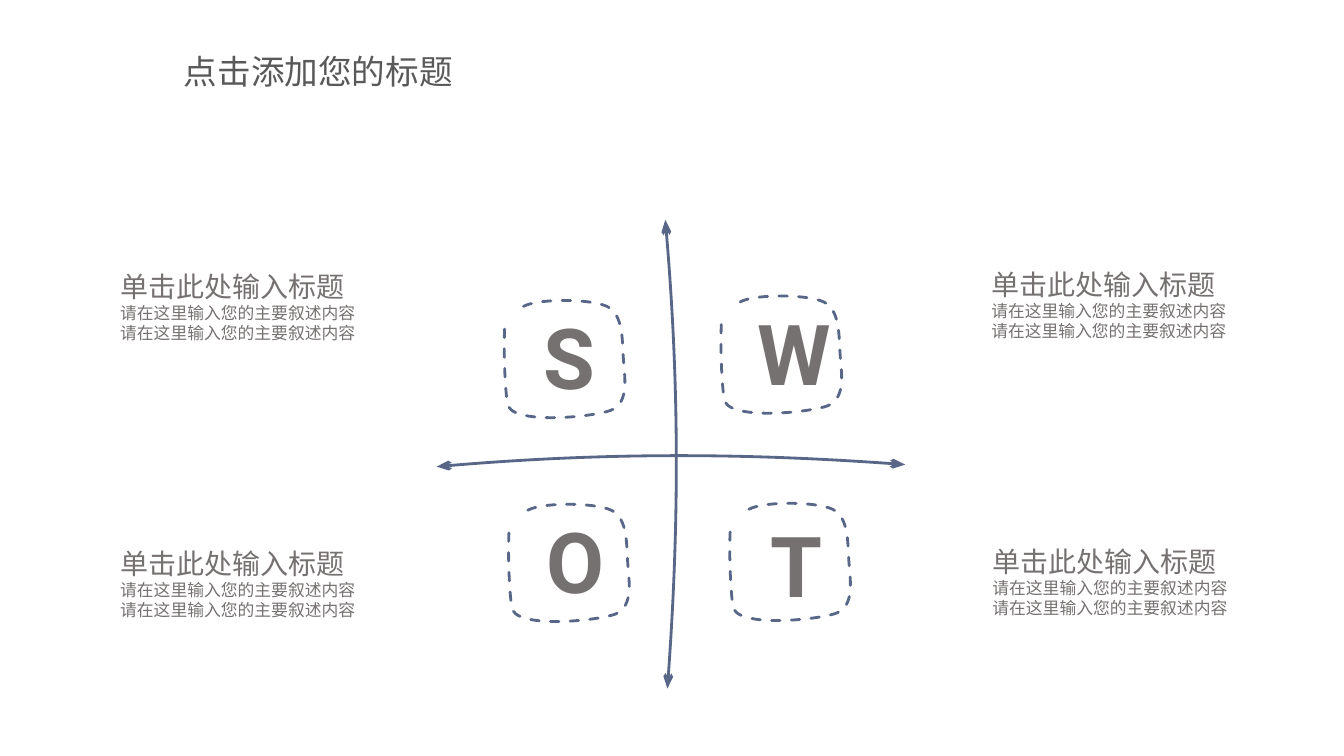
from lxml.etree import SubElement
from pptx import Presentation
from pptx.dml.color import RGBColor
from pptx.enum.dml import MSO_LINE
from pptx.enum.text import MSO_ANCHOR, MSO_AUTO_SIZE, PP_ALIGN
from pptx.oxml.ns import qn
from pptx.util import Pt

FONT = "Roboto"
GRAY, DARK, BLUE, WHITE = "767171", "595959", "586788", "FFFFFF"

AXIS_SIZE = (334.8, 8)
AXIS_START = (0, 8)
AXIS_CURVES = [[(111, -2), (223, -2), (334.8, 6.5)]]
TILE_SIZE = (85.7, 84.2)
TILE_START = (13.7, 4.3)
TILE_CURVES = [
    [(23.8, -1.4), (61.2, -1.4), (73.4, 4.3)],
    [(85, 10.1), (84.2, 28.1), (85, 40.3)],
    [(85.7, 53.3), (90, 72.7), (76.3, 78.5)],
    [(62.6, 83.5), (3.6, 89.3), (2.2, 73.4)],
    [(0, 57.6), (-0.7, 28.1), (0.7, 13.7)],
]
TILES = [
    ("S", 360.2, 214.6, 20.7, 0),
    ("W", 515, 211.4, 18.7, 0.6),
    ("O", 363.3, 360.2, 19.8, 0.5),
    ("T", 521.3, 359.5, 22.3, 4),
]
NOTES = [(78.8, 188.8), (78.8, 386.6), (701.8, 385.2), (701, 187.2)]
NOTE_LINES = [
    ("单击此处输入标题", 20),
    ("请在这里输入您的主要叙述内容", 12),
    ("请在这里输入您的主要叙述内容", 12),
]


def rgb(value):
    return RGBColor.from_string(value)


def style_run(r, size, color, bold=False):
    r.font.name = FONT
    r.font.size = Pt(size)
    r.font.bold = bold
    r.font.color.rgb = rgb(color)


def add_segment(path, tag, points):
    segment = SubElement(path, qn(tag))
    for x, y in points:
        SubElement(segment, qn("a:pt"), x=str(Pt(x)), y=str(Pt(y)))


def add_curve(shapes, x, y, size, start, curves):
    w, h = size
    builder = shapes.build_freeform(Pt(x), Pt(y))
    builder.add_line_segments([(Pt(x + w), Pt(y + h))], close=False)
    sp = builder.convert_to_shape()
    path = next(sp._element.iter(qn("a:path")))
    for segment in list(path):
        path.remove(segment)
    add_segment(path, "a:moveTo", [start])
    for curve in curves:
        add_segment(path, "a:cubicBezTo", curve)
    sp.shadow.inherit = False
    sp.line.color.rgb = rgb(BLUE)
    sp.line.width = Pt(2)
    sp.line._get_or_add_ln().set("cap", "rnd")
    return sp


def add_title(s, x, y, w, h):
    sp = s.shapes.title
    sp.left, sp.top, sp.width, sp.height = Pt(x), Pt(y), Pt(w), Pt(h)
    tf = sp.text_frame
    tf.text = "点击添加您的标题"
    tf.auto_size = MSO_AUTO_SIZE.NONE
    tf.vertical_anchor = MSO_ANCHOR.TOP
    tf.margin_left = tf.margin_right = Pt(9.6)
    tf.margin_top = tf.margin_bottom = Pt(4.8)
    p = tf.paragraphs[0]
    p.alignment = PP_ALIGN.LEFT
    style_run(p.runs[0], 24, DARK)


def add_axis(s, x, y, rotation):
    sp = add_curve(s.shapes, x, y, AXIS_SIZE, AXIS_START, AXIS_CURVES)
    sp.rotation = rotation
    sp.fill.background()
    ln = sp.line._get_or_add_ln()
    SubElement(ln, qn("a:round"))
    for end in ("a:headEnd", "a:tailEnd"):
        SubElement(ln, qn(end), type="arrow", w="med", len="lg")


def add_tile(s, letter, x, y, dx, dy):
    group = s.shapes.add_group_shape()
    sp = add_curve(group.shapes, x, y, TILE_SIZE, TILE_START, TILE_CURVES)
    sp.fill.solid()
    sp.fill.fore_color.rgb = rgb(WHITE)
    sp.line.dash_style = MSO_LINE.DASH
    tf = group.shapes.add_textbox(Pt(x + dx), Pt(y + dy), Pt(49), Pt(80)).text_frame
    tf.word_wrap = True
    tf.text = letter
    style_run(tf.paragraphs[0].runs[0], 60, GRAY, True)


def add_note(s, x, y, w=184.3, h=99.4):
    tf = s.shapes.add_textbox(Pt(x), Pt(y), Pt(w), Pt(h)).text_frame
    tf.word_wrap = False
    tf.text = "\n".join(text for text, size in NOTE_LINES)
    for p, (text, size) in zip(tf.paragraphs, NOTE_LINES):
        style_run(p.runs[0], size, GRAY)


def main():
    prs = Presentation()
    prs.slide_width, prs.slide_height = Pt(960), Pt(540)
    s = prs.slides.add_slide(prs.slide_layouts[5])
    add_title(s, 121.7, 31.4, 242.6, 38.9)
    add_axis(s, 311.8, 325.4, 0)
    add_axis(s, 311.8, 320.4, 90)
    for tile in TILES:
        add_tile(s, *tile)
    for x, y in NOTES:
        add_note(s, x, y)
    prs.save("out.pptx")


if __name__ == "__main__":
    main()
